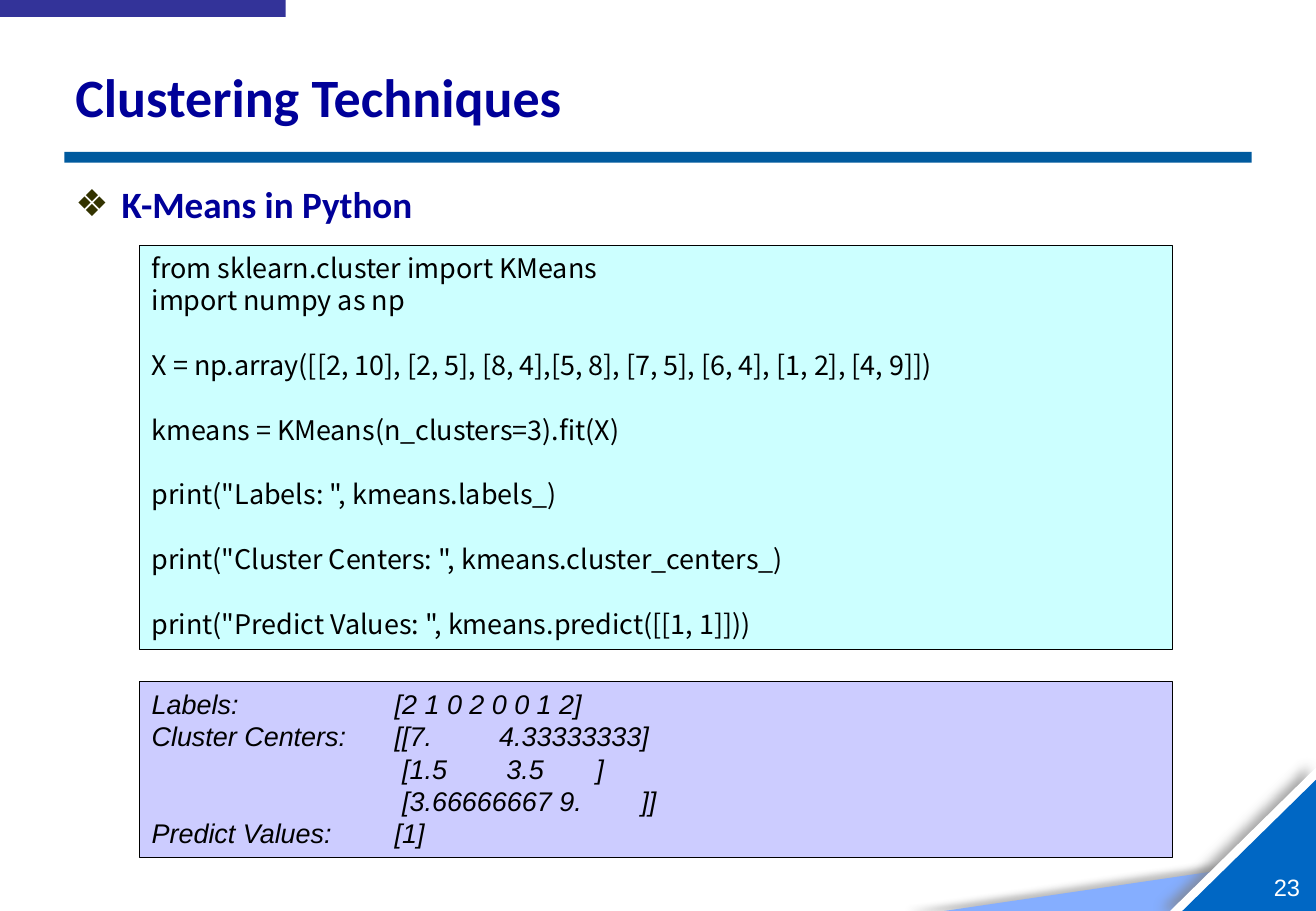
from lxml import etree
from pptx import Presentation
from pptx.dml.color import RGBColor
from pptx.enum.shapes import MSO_SHAPE
from pptx.enum.text import MSO_ANCHOR, MSO_AUTO_SIZE, PP_ALIGN
from pptx.oxml.ns import qn
from pptx.util import Inches, Pt

RECTANGLE, TRIANGLE = MSO_SHAPE.RECTANGLE, MSO_SHAPE.RIGHT_TRIANGLE
TOP, MIDDLE = MSO_ANCHOR.TOP, MSO_ANCHOR.MIDDLE
LEFT, RIGHT = PP_ALIGN.LEFT, PP_ALIGN.RIGHT
NO_AUTOFIT = MSO_AUTO_SIZE.NONE

WIDTH, HEIGHT = 10.83, 7.5
NAVY, BLACK, WHITE = "000099", "000000", "FFFFFF"
LINE_PITCH = 19.2

# Each block of code is set off by one empty line's worth of space.
CODE_BLOCKS = [
    ["from sklearn.cluster import KMeans", "import numpy as np"],
    ["X = np.array([[2, 10], [2, 5], [8, 4],[5, 8], [7, 5], [6, 4], [1, 2], [4, 9]])"],
    ["kmeans = KMeans(n_clusters=3).fit(X)"],
    ['print("Labels: ", kmeans.labels_)'],
    ['print("Cluster Centers: ", kmeans.cluster_centers_)'],
    ['print("Predict Values: ", kmeans.predict([[1, 1]]))'],
]
# Text of each output line and its tab stops in inches.
OUTPUT_LINES = [
    ("Labels:\t[2 1 0 2 0 0 1 2]", [2]),
    ("Cluster Centers:\t[[7.\t4.33333333]", [2, 2.86]),
    ("\t [1.5\t3.5\t]", [2, 2.92, 3.66]),
    ("\t [3.66666667 9.\t]]", [2, 4.03]),
    ("Predict Values:\t[1]", [2]),
]


def color(value):
    return RGBColor.from_string(value)


def style(para, font_name, size, font_color, bold=False, italic=False):
    font = para.font
    font.name, font.size = font_name, Pt(size)
    font.bold, font.italic = bold, italic
    font.color.rgb = color(font_color)


def place(shape, box):
    shape.left, shape.top, shape.width, shape.height = map(Inches, box)


def add_filled(page, kind, box, fill, outline=None):
    shape = page.shapes.add_shape(kind, *map(Inches, box))
    shape.shadow.inherit = False
    shape.fill.solid()
    shape.fill.fore_color.rgb = color(fill)
    if outline:
        shape.line.color.rgb = color(outline)
        shape.line.width = Pt(0.75)
    else:
        shape.line.fill.background()
    return shape


def add_shadow(shape, shade, opacity, blur, distance, degrees):
    effects = shape.element.spPr.find(qn("a:effectLst"))
    outer = etree.SubElement(
        effects, qn("a:outerShdw"), blurRad=str(Pt(blur)), dist=str(Pt(distance)),
        dir=str(degrees * 60000), algn="ctr", rotWithShape="0")
    tint = etree.SubElement(outer, qn("a:srgbClr"), val=shade)
    etree.SubElement(tint, qn("a:alpha"), val=str(opacity * 1000))


def add_corner(page, width, height, fill, shadow=None):
    """Right triangle whose square corner is the slide's bottom right."""
    box = (WIDTH - width, HEIGHT - height, width, height)
    triangle = add_filled(page, TRIANGLE, box, fill)
    triangle.element.spPr.xfrm.set("flipH", "1")
    if shadow:
        add_shadow(triangle, *shadow)


def add_decoration(page):
    add_corner(page, 3.06, 0.45, "85AEFF", ("595959", 40, 4, 22, 180))
    add_corner(page, 1.2, 1.18, WHITE, ("808080", 69, 7, 5, 190))
    add_corner(page, 1.1, 1.08, "0067C4")
    add_filled(page, RECTANGLE, (0.53, 1.25, 9.77, 0.09), "005A9E")
    add_filled(page, RECTANGLE, (0, 0, 2.35, 0.14), "333399")


def add_page_number(page, box, number):
    frame = page.shapes.add_textbox(*map(Inches, box)).text_frame
    frame.margin_left = frame.margin_right = frame.margin_top = frame.margin_bottom = 0
    frame.vertical_anchor = MIDDLE
    para = frame.paragraphs[0]
    para.text, para.alignment = number, RIGHT
    style(para, "Arial", 14, WHITE)


def fill_title(page, box, text):
    title = page.shapes.title
    place(title, box)
    frame = title.text_frame
    frame.text, frame.vertical_anchor, frame.auto_size = text, MIDDLE, NO_AUTOFIT
    frame.paragraphs[0].alignment = LEFT
    style(frame.paragraphs[0], "Calibri", 32, NAVY, bold=True)


def fill_body(page, box, text):
    body = page.placeholders[1]
    place(body, box)
    frame = body.text_frame
    frame.text, frame.auto_size = text, NO_AUTOFIT
    para = frame.paragraphs[0]
    style(para, "Calibri", 22, NAVY, bold=True)
    props = para._p.get_or_add_pPr()
    props.set("marL", str(Inches(0.38)))
    props.set("indent", str(Inches(-0.38)))
    bullet_color = etree.Element(qn("a:buClr"))
    etree.SubElement(bullet_color, qn("a:srgbClr"), val="333300")
    bullet = etree.Element(qn("a:buChar"), char="❖")
    default_run = props.find(qn("a:defRPr"))
    default_run.addprevious(bullet_color)
    default_run.addprevious(bullet)


def add_panel(page, box, fill, lines):
    """Outlined panel with one paragraph per line; returns the paragraphs."""
    frame = add_filled(page, RECTANGLE, box, fill, BLACK).text_frame
    frame.word_wrap, frame.vertical_anchor = True, TOP
    paras = []
    for line in lines:
        para = frame.add_paragraph() if paras else frame.paragraphs[0]
        para.text, para.alignment = line, LEFT
        para.line_spacing = Pt(LINE_PITCH)
        paras.append(para)
    return paras


def add_code(page, box):
    lines = [line for block in CODE_BLOCKS for line in block]
    block_starts = [block[0] for block in CODE_BLOCKS[1:]]
    for para in add_panel(page, box, "CCFFFF", lines):
        style(para, "Noto Sans CJK KR", 16, BLACK)
        if para.text in block_starts:
            para.space_before = Pt(LINE_PITCH)


def add_output(page, box):
    paras = add_panel(page, box, "CCCCFF", [line for line, _ in OUTPUT_LINES])
    for para, (_, stops) in zip(paras, OUTPUT_LINES):
        style(para, "Arial", 16, BLACK, italic=True)
        tabs = etree.Element(qn("a:tabLst"))
        for stop in stops:
            etree.SubElement(tabs, qn("a:tab"), pos=str(Inches(stop)), algn="l")
        para._p.pPr.find(qn("a:defRPr")).addprevious(tabs)


def main():
    deck = Presentation()
    deck.slide_width, deck.slide_height = Inches(WIDTH), Inches(HEIGHT)
    page = deck.slides.add_slide(deck.slide_layouts[1])
    add_decoration(page)
    add_page_number(page, (10.45, 7.18, 0.25, 0.24), "23")
    fill_title(page, (0.52, 0.4, 9.77, 0.78), "Clustering Techniques")
    fill_body(page, (0.52, 1.44, 9.77, 5.74), "K-Means in Python")
    add_code(page, (1.15, 2.02, 8.5, 3.33))
    add_output(page, (1.15, 5.61, 8.5, 1.45))
    deck.save("out.pptx")


if __name__ == "__main__":
    main()
